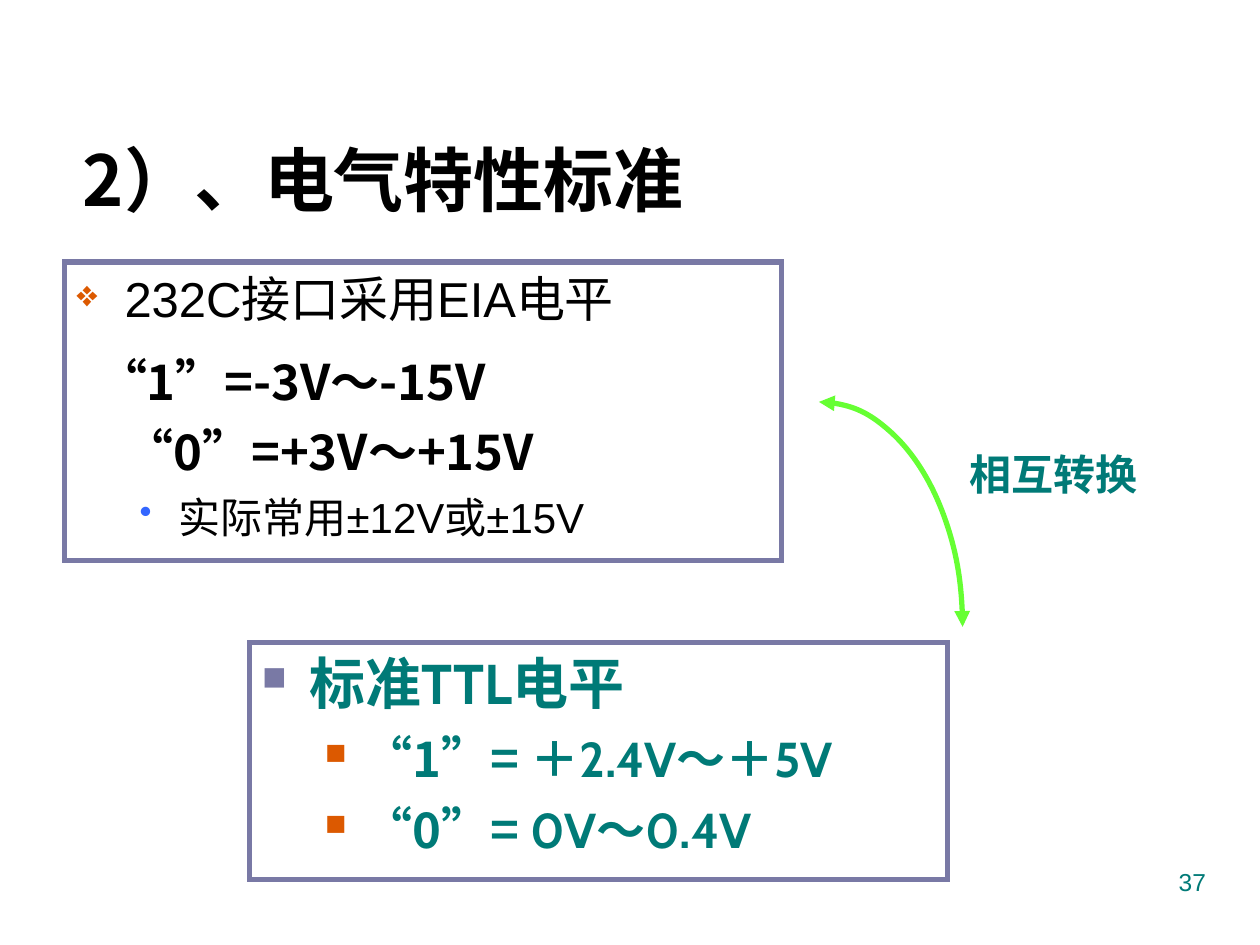
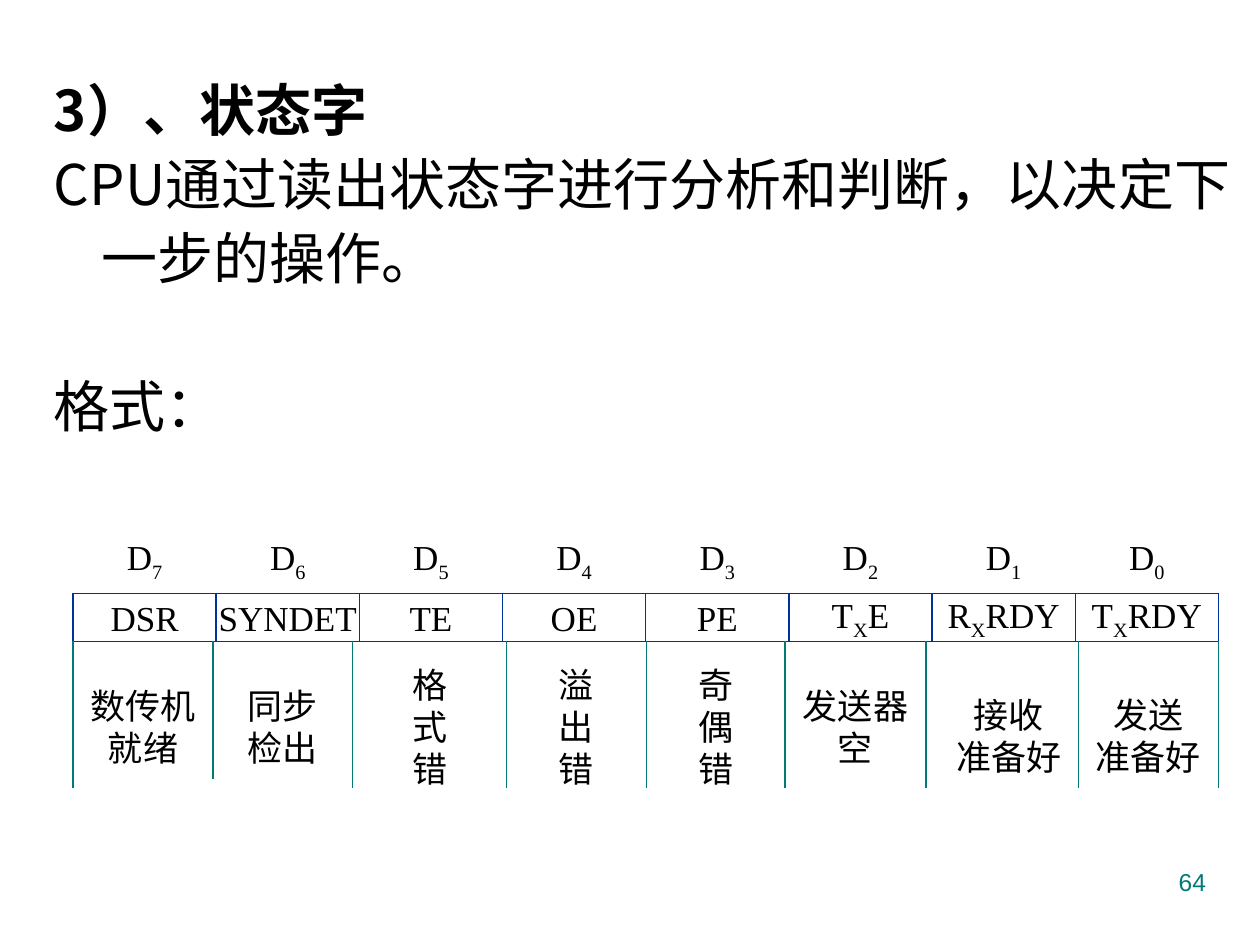
from lxml import etree
from pptx import Presentation, util as u
from pptx.dml.color import RGBColor
from pptx.enum import shapes as s, text as t
from pptx.oxml import ns

# Shared look
HUE = {"ink": "000000", "teal": "007A77", "frame": "7979A5", "rust": "DC5900",
       "blue": "3366FF", "navy": "003399", "lime": "66FF33"}
SANS, ARIAL, CABIN, TIMES = "Noto Sans CJK SC", "Arial", "Cabin", "Times New Roman"
LEFT, MID, RIGHT, JUST = (t.PP_ALIGN.LEFT, t.PP_ALIGN.CENTER,
                          t.PP_ALIGN.RIGHT, t.PP_ALIGN.JUSTIFY)

# Grid of 100 columns and 75 rows on a 10 by 7.5 inch slide
WIDE, HIGH = u.Inches(10), u.Inches(7.5)
COL, ROW = WIDE / 100, HIGH / 75


def place(box):
    x, y, w, h = box
    return [u.Emu(round(v)) for v in (x * COL, y * ROW, w * COL, h * ROW)]


def paint(hue):
    return RGBColor.from_string(HUE[hue])


def node(root, tag, **attrs):
    item = etree.SubElement(root, ns.qn("a:" + tag))
    for key, val in attrs.items():
        item.set(key, str(val))
    return item


# Text, run by run
def write(para, words, font, size, hue="ink", bold=False, base=0):
    run = para.add_run()
    run.text = words
    run.font.size, run.font.bold, run.font.name = u.Pt(size), bold, font
    run.font.color.rgb = paint(hue)
    props = run._r.get_or_add_rPr()
    node(props, "ea", typeface=ARIAL if font == ARIAL else SANS)
    if base:
        props.set("baseline", str(base * 1000))


def start(frame, align=LEFT, left=0, hang=0, gap=0, lead=None, mark=None):
    """Give the next paragraph; mark is (symbol, hue, percent)."""
    first = frame.paragraphs[0]
    para = frame.add_paragraph() if first.runs else first
    para.alignment, para.space_before = align, u.Pt(gap)
    if lead:
        para.line_spacing = lead
    props = para._p.get_or_add_pPr()
    props.set("marL", str(round(left * COL)))
    props.set("indent", str(round(-hang * COL)))
    if mark:
        sign, hue, share = mark
        node(node(props, "buClr"), "srgbClr", val=HUE[hue])
        node(props, "buSzPct", val=share * 1000)
        node(props, "buChar", char=sign)
    else:
        node(props, "buNone")
    return para


def label(slide, box, wrap=True, mid=False):
    frame = slide.shapes.add_textbox(*place(box)).text_frame
    frame.word_wrap = wrap
    frame.vertical_anchor = t.MSO_ANCHOR.MIDDLE if mid else t.MSO_ANCHOR.TOP
    return frame


# Outlined shapes and lines
def shape(slide, kind, box, hue, width):
    item = slide.shapes.add_shape(kind, *place(box))
    item.shadow.inherit = False
    item.fill.background()
    item.line.color.rgb, item.line.width = paint(hue), u.Pt(width)
    node(item.line._get_or_add_ln(), "miter", lim=800000)
    return item


def panel(slide, box, hue="frame", width=3, wrap=True, mid=False):
    frame = shape(slide, s.MSO_SHAPE.RECTANGLE, box, hue, width).text_frame
    frame.word_wrap = wrap
    frame.vertical_anchor = t.MSO_ANCHOR.MIDDLE if mid else t.MSO_ANCHOR.TOP
    return frame


def rule(slide, x, top, end):
    a, b, _, c = place((x, top, 0, end))
    line = slide.shapes.add_connector(s.MSO_CONNECTOR.STRAIGHT, a, b, a, c)
    line.line.color.rgb, line.line.width = paint("teal"), u.Pt(0.75)
    node(line._element.spPr, "effectLst")


def page(deck, number):
    slide = deck.slides.add_slide(deck.slide_layouts[6])
    frame = label(slide, (71.7, 68.3, 25, 5.2))
    write(start(frame, RIGHT), number, ARIAL, 14, "teal")
    return slide


# Signal levels
def title(slide, box):
    write(start(label(slide, box, mid=True)), "2）、电气特性标准", SANS, 40, bold=True)


def serial(slide, box):
    frame = panel(slide, box)
    para = start(frame, left=3.8, hang=3.8, gap=7, mark=("❖", "rust", 75))
    write(para, "232C接口采用EIA电平", ARIAL, 28)
    para = start(frame, left=3.8, hang=2.1, gap=7, lead=1.2)
    write(para, "“1”=-3V～-15V", SANS, 28, bold=True)
    para.add_line_break()
    write(para, "“0”=+3V～+15V", SANS, 28, bold=True)
    para = start(frame, left=8.1, hang=3.1, gap=6, mark=("•", "blue", 85))
    write(para, "实际常用±12V或±15V", ARIAL, 24)


def logic(slide, box):
    frame = panel(slide, box)
    para = start(frame, JUST, 3.8, 3.8, 8, mark=("■", "frame", 60))
    for words, font in (("标准", TIMES), ("TTL", CABIN), ("电平", TIMES)):
        write(para, words, font, 32, "teal", True)
    levels = (
        (("“1”= ", SANS), ("＋", TIMES), ("2.4V", CABIN), ("～＋", TIMES), ("5V", CABIN)),
        (("“0”= ", SANS), ("0V", CABIN), ("～", TIMES), ("0.4V", CABIN)),
    )
    for runs in levels:
        para = start(frame, JUST, 8.1, 3.1, 7, mark=("■", "rust", 60))
        for words, font in runs:
            write(para, words, font, 28, "teal", True)


def swap(slide, box):
    """Curved double arrow with its caption to the right."""
    x, y, w, h = box
    arc = shape(slide, s.MSO_SHAPE.ARC, box, "lime", 3)
    for end in ("headEnd", "tailEnd"):
        node(arc.line._get_or_add_ln(), end, type="triangle")
    frame = label(slide, (x + w - 0.4, y + 3.2, 15.3, 5), wrap=False)
    write(start(frame), "相互转换", CABIN, 24, "teal", True)


# Status word
def intro(slide, box):
    frame = label(slide, box)
    lines = (("3）、状态字", True, 0),
             ("CPU通过读出状态字进行分析和判断，以决定下一步的操作。", False, 0),
             ("格式：", False, 42))
    for words, bold, gap in lines:
        para = start(frame, left=3.8, hang=3.8, gap=gap, lead=1.1)
        write(para, words, SANS, 32, bold=bold)


def coded(frame, *parts):
    """Centred name whose second part is a subscript."""
    para = start(frame, MID)
    for i, words in enumerate(parts):
        write(para, words, TIMES, 20, base=-25 if i == 1 else 0)


# Name parts, meaning, shift of the meaning to the right and down
BITS = (
    (("DSR",), ("数传机", "就绪"), 0, 0),
    (("SYNDET",), ("同步", "检出"), 0, 0),
    (("TE",), ("格", "式", "错"), 0, 0),
    (("OE",), ("溢", "出", "错"), 0, 0),
    (("PE",), ("奇", "偶", "错"), 0, 0),
    (("T", "X", "E"), ("发送器", "空"), 0, 0),
    (("R", "X", "RDY"), ("接收", "准备好"), 0.5, 0.7),
    (("T", "X", "RDY"), ("发送", "准备好"), 0, 0.7),
)
EDGES = (0, 11.1, 22.2, 34.4, 45.5, 56.5, 67.7, 79.8, 90.9)


def status(slide, box):
    x, y, w, h = box
    step, tall, drop = w / len(BITS), 3.8, 4.6
    for i, (name, sense, right, down) in enumerate(BITS):
        left = x + i * step
        coded(panel(slide, (left, y + drop, step, tall), "navy", 0.75, False, True), *name)
        coded(label(slide, (left, y, step, tall), False, True), "D", str(7 - i))
        # Meaning sits midway between two dividers
        mid = x + (EDGES[i] + EDGES[i + 1]) / 2 + right
        frame = label(slide, (mid - 5.6, y + 11.7 + down, 11.2, 6.9), False, True)
        for words in sense:
            write(start(frame, MID), words, TIMES, 20)
    for i, edge in enumerate(EDGES):
        short = 0.7 if i == 1 else 0
        rule(slide, x + edge, y + drop + tall, y + h - short)


def main():
    deck = Presentation()
    deck.slide_width, deck.slide_height = WIDE, HIGH

    levels = page(deck, "37")
    title(levels, (5.6, 10.3, 64.3, 7.7))
    serial(levels, (5.1, 20.8, 56.9, 23.7))
    logic(levels, (19.8, 51, 55.4, 18.8))
    swap(levels, (53.6, 31.9, 22.8, 35.7))

    word = page(deck, "64")
    intro(word, (3.3, 5, 96.7, 33))
    status(word, (5.8, 42.5, 90.9, 20))

    deck.save("out.pptx")


if __name__ == "__main__":
    main()
